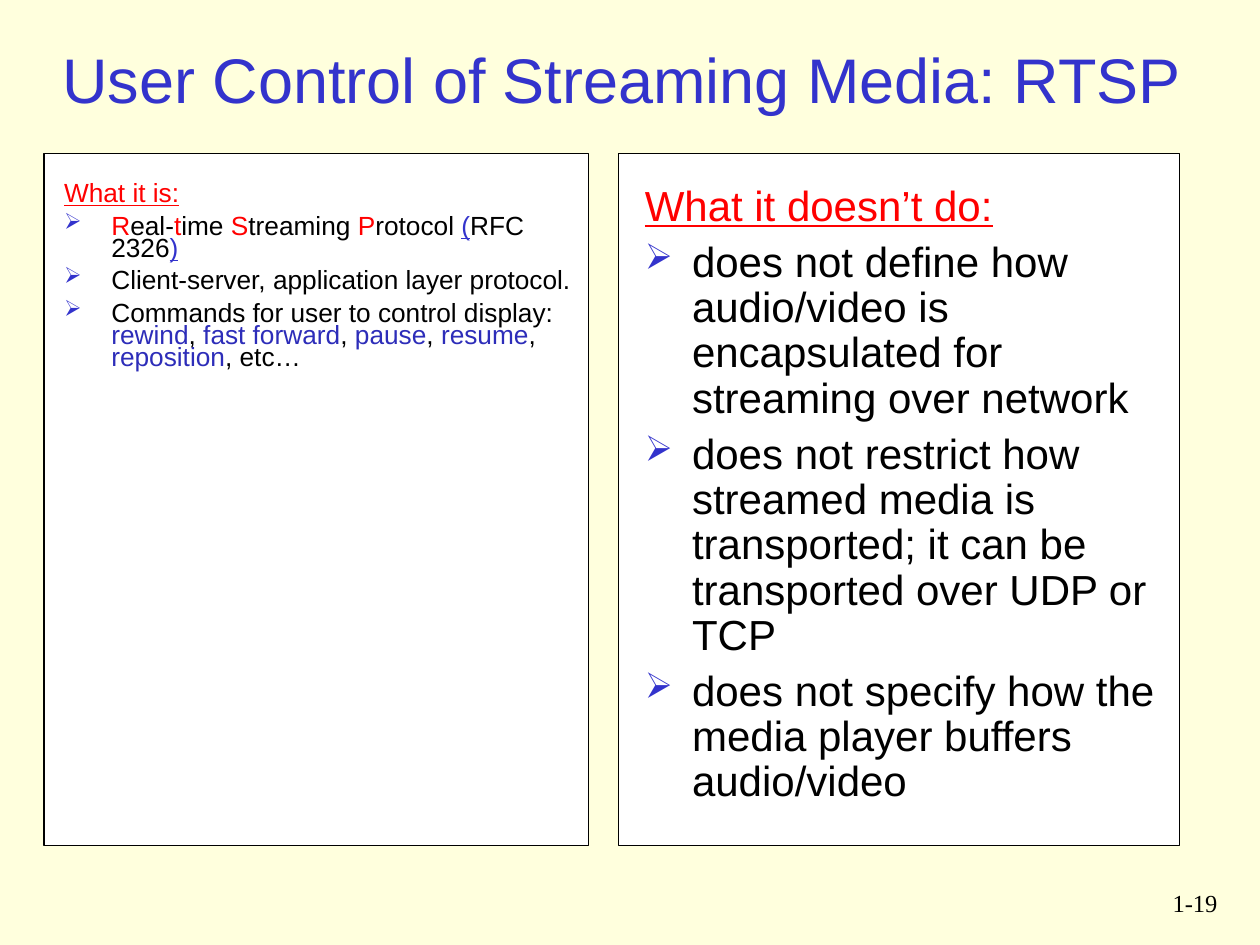
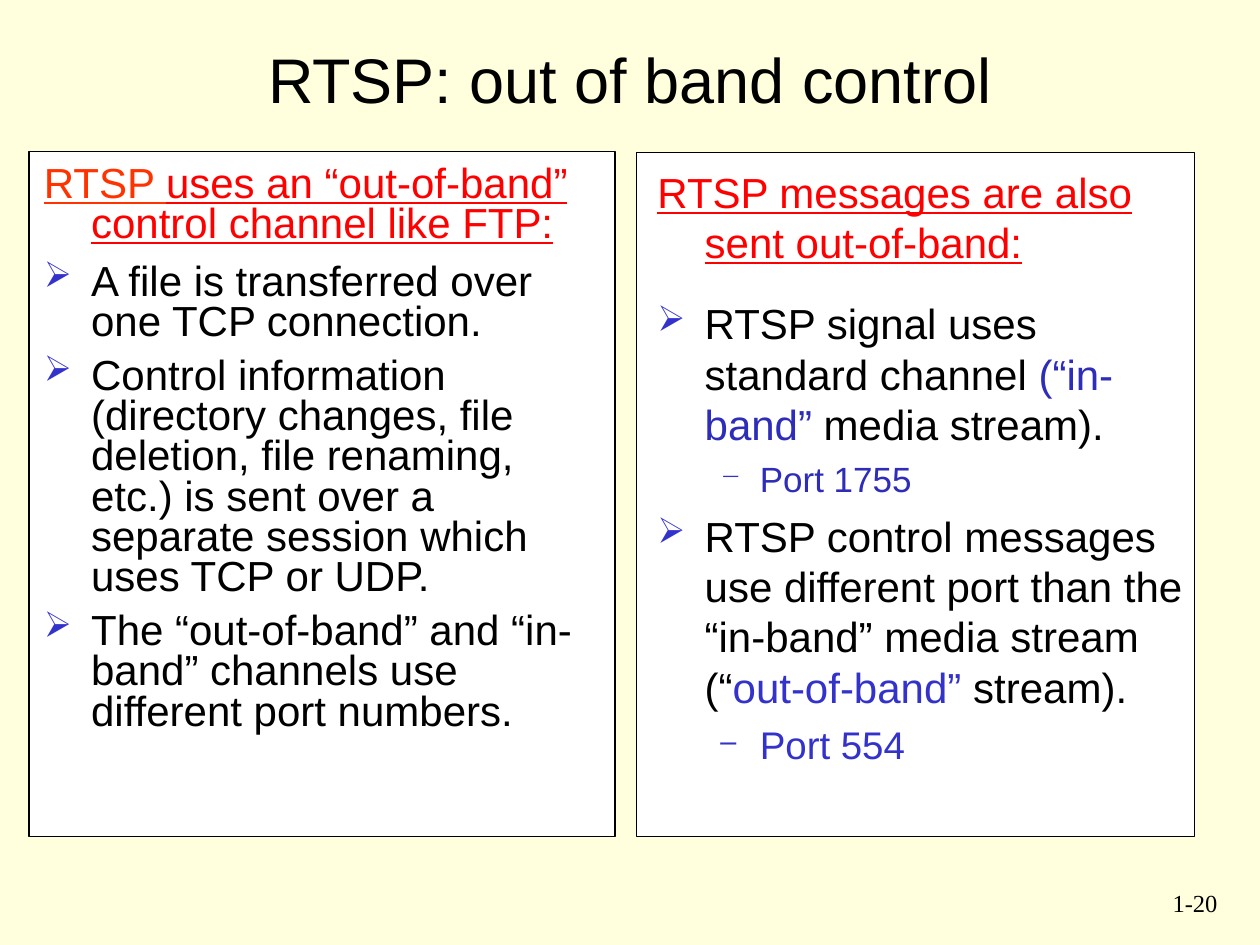
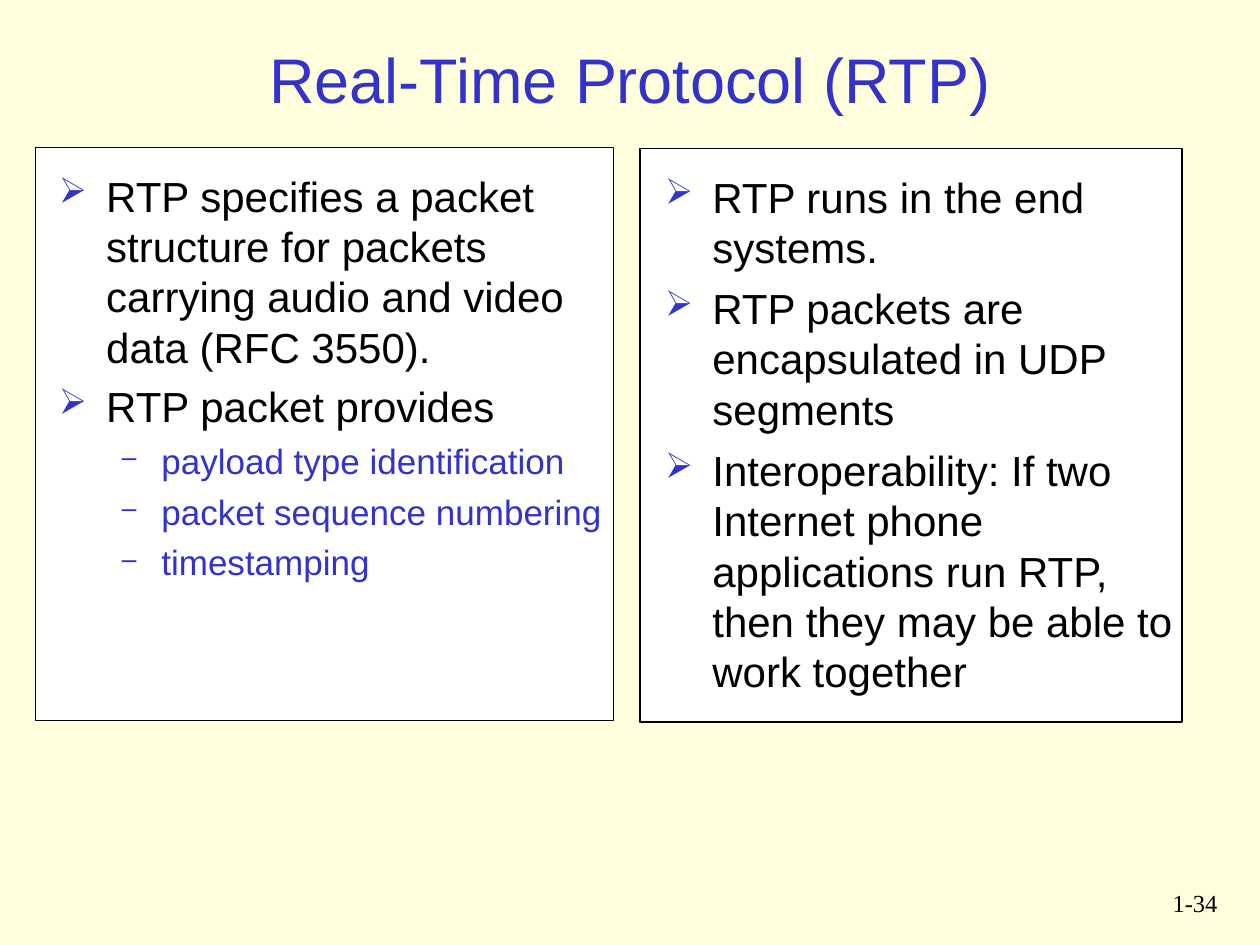
"""Three two-column lecture slides about RTSP and RTP."""
from dataclasses import dataclass
from typing import Optional

import lxml.etree
import pptx
import pptx.dml.color
import pptx.enum.shapes
import pptx.enum.text
import pptx.oxml.ns
import pptx.presentation
import pptx.slide
import pptx.text.text
import pptx.util

Pt = pptx.util.Pt


# Theme
@dataclass(frozen=True)
class Theme:
    background: str = "FFFFDD"
    panel: str = "FFFFFF"
    ink: str = "000000"
    blue: str = "3333CC"
    dark_blue: str = "2D2DB9"
    red: str = "FF0000"
    orange: str = "FF3300"
    font: str = "Arial"
    number_font: str = "Times New Roman"
    title_size: float = 36
    body_size: float = 24
    small_size: float = 15
    sub_size: float = 20
    large_sub_size: float = 22
    number_size: float = 14


THEME = Theme()


# Content types
@dataclass(frozen=True)
class Box:
    left: float
    top: float
    width: float
    height: float


@dataclass(frozen=True)
class Run:
    text: str
    color: Optional[str] = None
    underline: bool = False


@dataclass(frozen=True)
class Level:
    color: str
    depth: int = 0
    margin: float = 27
    indent: float = -27
    bullet: str = ""
    bullet_percent: int = 85
    underline: bool = False


@dataclass(frozen=True)
class Item:
    level: Level
    runs: tuple[Run, ...]
    before: float = 6
    size: Optional[float] = None


@dataclass(frozen=True)
class Column:
    panel: Box
    text: Box
    items: tuple[Item, ...]
    size: float = THEME.body_size
    line_spacing: float = 1.0


@dataclass(frozen=True)
class Page:
    title: str
    number: str
    left: Column
    right: Column
    title_color: str = THEME.blue


HEADING = Level(THEME.red, underline=True)
POINT = Level(THEME.ink, bullet="➢")
SUBPOINT = Level(THEME.blue, 1, 58.5, -22.5, "–", 75)
DARK_SUBPOINT = Level(THEME.dark_blue, 1, 58.5, -22.5, "─", 75)

TITLE_BOX = Box(0, 0, 720, 90)
NUMBER_BOX = Box(653.8, 504, 49, 36)


def heading(*runs: Run) -> Item:
    return Item(HEADING, runs, before=0)


def point(text: str, before: float = 6) -> Item:
    return Item(POINT, (Run(text),), before)


def subpoint(text: str, level: Level = SUBPOINT, before: float = 5,
             size: float = THEME.sub_size) -> Item:
    return Item(level, (Run(text),), before, size)


def highlighted(color: str, *texts: str) -> tuple[Run, ...]:
    """Colour every second text, starting with the second one."""
    return tuple(Run(text, color if index % 2 else None) for index, text in enumerate(texts))


# Slide content
PAGES = (
    Page(
        "User Control of Streaming Media: RTSP ", "1-19",
        Column(
            Box(25.2, 87.8, 311, 395.3), Box(29.5, 102.2, 313.2, 131.8),
            (
                heading(Run("What it is:")),
                Item(POINT, (
                    Run("R", THEME.red), Run("eal-"), Run("t", THEME.red), Run("ime "),
                    Run("S", THEME.red), Run("treaming "), Run("P", THEME.red), Run("rotocol "),
                    Run("(", THEME.blue, True), Run("RFC 2326"), Run(")", THEME.blue, True),
                )),
                point("Client-server, application layer protocol."),
                Item(POINT, highlighted(
                    THEME.dark_blue, "Commands for user to control display: ", "rewind", ", ",
                    "fast forward", ", ", "pause", ", ", "resume", ", ", "reposition", ", etc…",
                )),
            ),
            size=THEME.small_size, line_spacing=0.7,
        ),
        Column(
            Box(353.5, 87.8, 320.4, 395.3), Box(361.4, 102.2, 313.9, 378.7),
            (
                heading(Run("What it doesn’t do:")),
                point("does not define how audio/video is encapsulated for streaming over network"),
                point("does not restrict how streamed media is transported; "
                      "it can be transported over UDP or TCP"),
                point("does not specify how the media player buffers audio/video"),
            ),
            line_spacing=0.9,
        ),
    ),
    Page(
        "RTSP: out of band control", "1-20",
        Column(
            Box(16.6, 86.4, 334.8, 391.7), Box(18, 91.4, 333.4, 367.9),
            (
                heading(Run("RTSP ", THEME.orange),
                        Run("uses an “out-of-band” control channel like FTP:")),
                point("A file is transferred over one TCP connection.", 9.7),
                point("Control information (directory changes, file deletion, file renaming, "
                      "etc.) is sent over a separate session which uses TCP or UDP.", 7.7),
                point("The “out-of-band” and “in-band” channels use different port numbers.", 7.7),
            ),
            line_spacing=0.8,
        ),
        Column(
            Box(363.6, 87.1, 319, 391), Box(368.6, 91.4, 315.4, 386.6),
            (
                heading(Run("RTSP messages are also sent out-of-band:")),
                Item(POINT, highlighted(
                    THEME.dark_blue, "RTSP signal uses standard channel ", "(“in-band”",
                    " media stream).",
                ), before=17.6),
                subpoint("Port 1755", DARK_SUBPOINT),
                Item(POINT, highlighted(
                    THEME.blue, "RTSP control messages use different port than the "
                    "“in-band” media stream (“", "out-of-band” ", "stream).",
                )),
                subpoint("Port 554", before=5.5, size=THEME.large_sub_size),
            ),
        ),
        title_color=THEME.ink,
    ),
    Page(
        "Real-Time Protocol (RTP)", "1-34",
        Column(
            Box(20.2, 84.2, 330.5, 327.6), Box(26.6, 93.6, 325.4, 365.8),
            (
                point("RTP specifies a packet structure for packets carrying "
                      "audio and video data (RFC 3550).", 0),
                point("RTP packet provides", 5),
                subpoint("payload type identification"),
                subpoint("packet sequence numbering"),
                subpoint("timestamping"),
            ),
        ),
        Column(
            Box(365.8, 85, 309.6, 327.6), Box(373, 94.3, 305.3, 365.8),
            (
                point("RTP runs in the end systems.", 0),
                point("RTP packets are encapsulated in UDP segments"),
                point("Interoperability: If two Internet phone applications run RTP, "
                      "then they may be able to work together"),
            ),
        ),
    ),
)


# Drawing
def rgb(color: str) -> pptx.dml.color.RGBColor:
    return pptx.dml.color.RGBColor.from_string(color)


def place(box: Box) -> tuple[pptx.util.Length, ...]:
    return Pt(box.left), Pt(box.top), Pt(box.width), Pt(box.height)


def set_font(font: pptx.text.text.Font, name: str, size: float, color: str) -> None:
    font.name = name
    font.size = Pt(size)
    font.color.rgb = rgb(color)


def add_text_box(slide: pptx.slide.Slide, box: Box) -> pptx.text.text.TextFrame:
    frame = slide.shapes.add_textbox(*place(box)).text_frame
    frame.word_wrap = True
    return frame


def add_label(slide: pptx.slide.Slide, box: Box, text: str, alignment: pptx.enum.text.PP_ALIGN,
              name: str, size: float, color: str) -> pptx.text.text.TextFrame:
    frame = add_text_box(slide, box)
    paragraph = frame.paragraphs[0]
    paragraph.alignment = alignment
    paragraph.add_run().text = text
    set_font(paragraph.font, name, size, color)
    return frame


def add_panel(slide: pptx.slide.Slide, box: Box) -> None:
    shape = slide.shapes.add_shape(pptx.enum.shapes.MSO_SHAPE.RECTANGLE, *place(box))
    shape.shadow.inherit = False
    shape.fill.solid()
    shape.fill.fore_color.rgb = rgb(THEME.panel)
    shape.line.color.rgb = rgb(THEME.ink)
    shape.line.width = Pt(0.75)


def set_level(paragraph: pptx.text.text._Paragraph, level: Level) -> None:
    """Set the indents and the coloured bullet."""
    paragraph.level = level.depth
    properties = paragraph._p.get_or_add_pPr()
    properties.set("marL", str(Pt(level.margin)))
    properties.set("indent", str(Pt(level.indent)))
    if level.bullet:
        qn = pptx.oxml.ns.qn
        bullet_color = lxml.etree.SubElement(properties, qn("a:buClr"))
        lxml.etree.SubElement(bullet_color, qn("a:srgbClr"), val=THEME.blue)
        lxml.etree.SubElement(properties, qn("a:buSzPct"), val=str(level.bullet_percent * 1000))
        lxml.etree.SubElement(properties, qn("a:buChar"), char=level.bullet)


def add_column_text(slide: pptx.slide.Slide, column: Column) -> None:
    frame = add_text_box(slide, column.text)
    for index, item in enumerate(column.items):
        paragraph = frame.add_paragraph() if index else frame.paragraphs[0]
        paragraph.line_spacing = column.line_spacing
        paragraph.space_before = Pt(item.before)
        set_level(paragraph, item.level)
        set_font(paragraph.font, THEME.font, item.size or column.size, item.level.color)
        if item.level.underline:
            paragraph.font.underline = True
        for part in item.runs:
            run = paragraph.add_run()
            run.text = part.text
            if part.color:
                run.font.color.rgb = rgb(part.color)
            if part.underline:
                run.font.underline = True


def add_page(presentation: pptx.presentation.Presentation, page: Page) -> None:
    slide = presentation.slides.add_slide(presentation.slide_layouts[6])
    slide.background.fill.solid()
    slide.background.fill.fore_color.rgb = rgb(THEME.background)
    align = pptx.enum.text.PP_ALIGN
    add_label(slide, NUMBER_BOX, page.number, align.RIGHT,
              THEME.number_font, THEME.number_size, THEME.ink)
    for column in (page.right, page.left):
        add_panel(slide, column.panel)
    title = add_label(slide, TITLE_BOX, page.title, align.CENTER,
                      THEME.font, THEME.title_size, page.title_color)
    title.vertical_anchor = pptx.enum.text.MSO_ANCHOR.MIDDLE
    for column in (page.left, page.right):
        add_column_text(slide, column)


def main() -> None:
    presentation = pptx.Presentation()
    presentation.slide_width = Pt(720)
    presentation.slide_height = Pt(540)
    for page in PAGES:
        add_page(presentation, page)
    presentation.save("out.pptx")


if __name__ == "__main__":
    main()
